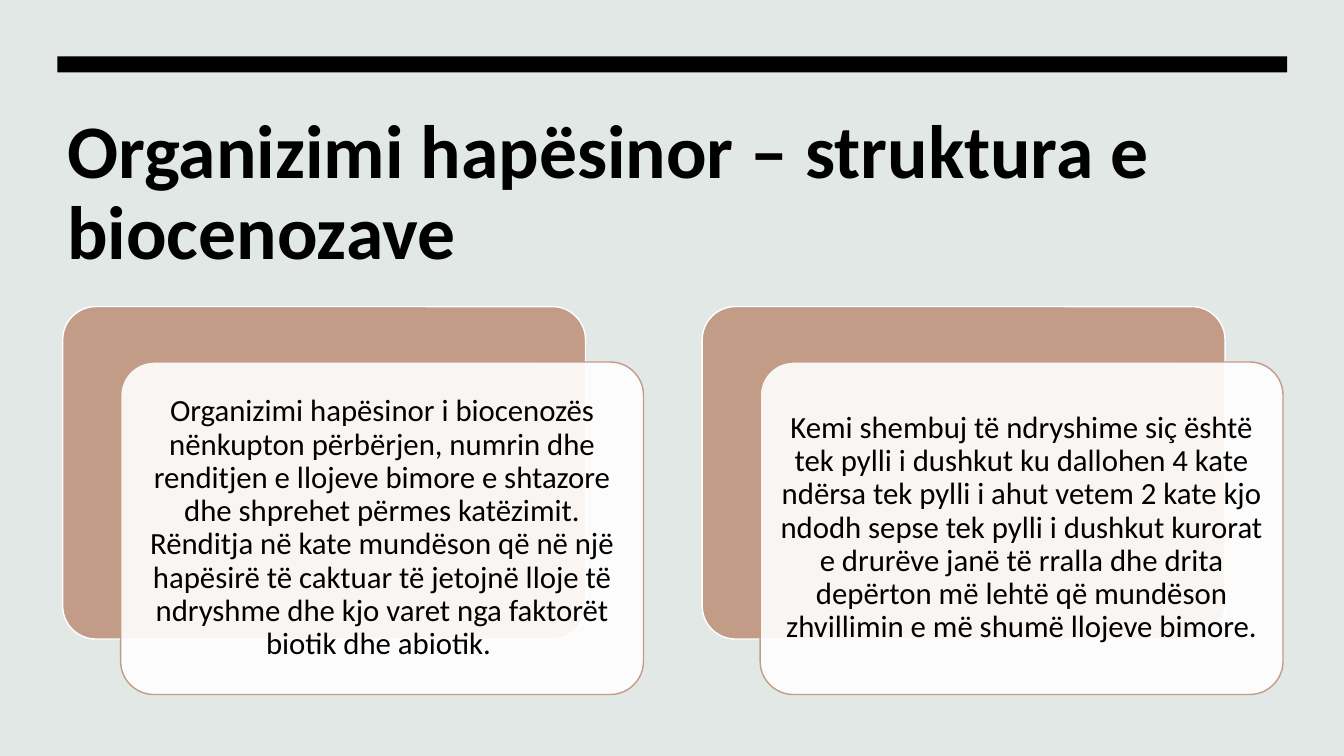
"""Build a slide on the spatial organisation of biocenoses with two layered cards."""
from lxml import etree
from pptx import Presentation
from pptx import util as u
from pptx.dml.color import RGBColor
from pptx.enum import shapes, text
from pptx.oxml.ns import qn

COLORS = {"background": "E2E8E5", "ink": "000000", "clay": "C29C87", "white": "FFFFFF"}
TITLE = "Organizimi hapësinor – struktura e biocenozave"
CARDS = [
    "Organizimi hapësinor i biocenozës nënkupton përbërjen, numrin dhe renditjen e llojeve "
    "bimore e shtazore dhe shprehet përmes katëzimit. Rënditja në kate mundëson që në një "
    "hapësirë të caktuar të jetojnë lloje të ndryshme dhe kjo varet nga faktorët biotik dhe "
    "abiotik. ",
    "Kemi shembuj të ndryshime siç është tek pylli i dushkut ku dallohen 4 kate ndërsa tek "
    "pylli i ahut vetem 2 kate kjo ndodh sepse tek pylli i dushkut kurorat e drurëve janë të "
    "rralla dhe drita depërton më lehtë që mundëson zhvillimin e më shumë llojeve bimore.",
]
CARD_LEFT, CARD_TOP, CARD_WIDTH, CARD_HEIGHT = 44.8, 219, 373.5, 237.5
CARD_PITCH, PANEL_RIGHT, PANEL_DOWN = 456.8, 41.4, 39.6

presentation = Presentation()
presentation.slide_width, presentation.slide_height = u.Pt(960), u.Pt(540)
slide = presentation.slides.add_slide(presentation.slide_layouts[6])
slide.background.fill.solid()
slide.background.fill.fore_color.rgb = RGBColor.from_string(COLORS["background"])


def add_block(kind, box, fill, line=None):
    shape = slide.shapes.add_shape(kind, *map(u.Pt, box))
    shape.shadow.inherit = False
    shape.fill.solid()
    shape.fill.fore_color.rgb = RGBColor.from_string(COLORS[fill])
    if line:
        shape.adjustments[0] = 0.1
        shape.line.color.rgb = RGBColor.from_string(COLORS[line])
        shape.line.width = u.Pt(1)
    else:
        shape.line.fill.background()
    return shape


def write(shape, words, frame_format, paragraph_format, font_format):
    frame = shape.text_frame
    paragraph = frame.paragraphs[0]
    paragraph.text = words
    for target, values in (
        (frame, {"word_wrap": True, **frame_format}),
        (paragraph, {"line_spacing": 0.9, **paragraph_format}),
        (paragraph.runs[0].font, {"name": "Calibri", **font_format}),
    ):
        for name, value in values.items():
            setattr(target, name, value)
    paragraph.runs[0].font.color.rgb = RGBColor.from_string(COLORS["ink"])


title = slide.shapes.add_textbox(*map(u.Pt, (41, 77, 878.4, 129)))
write(title, TITLE, {"vertical_anchor": text.MSO_ANCHOR.TOP},
      {"alignment": text.PP_ALIGN.LEFT}, {"size": u.Pt(54), "bold": True})
add_block(shapes.MSO_SHAPE.RECTANGLE, (41, 40.3, 878.4, 11.5), "ink")

panel_frame = {"vertical_anchor": text.MSO_ANCHOR.MIDDLE}
for side in ("left", "right", "top", "bottom"):
    panel_frame[f"margin_{side}"] = u.Pt(6.6)

rounded = shapes.MSO_SHAPE.ROUNDED_RECTANGLE
for index, words in enumerate(CARDS):
    left = CARD_LEFT + index * CARD_PITCH
    add_block(rounded, (left, CARD_TOP, CARD_WIDTH, CARD_HEIGHT), "clay", "white")
    panel = add_block(
        rounded, (left + PANEL_RIGHT, CARD_TOP + PANEL_DOWN, CARD_WIDTH, CARD_HEIGHT),
        "white", "clay")
    fill_color = panel.element.spPr.find(qn("a:solidFill")).find(qn("a:srgbClr"))
    etree.SubElement(fill_color, qn("a:alpha"), val="90000")
    write(panel, words, panel_frame, {"alignment": text.PP_ALIGN.CENTER}, {"size": u.Pt(22)})

presentation.save("out.pptx")
